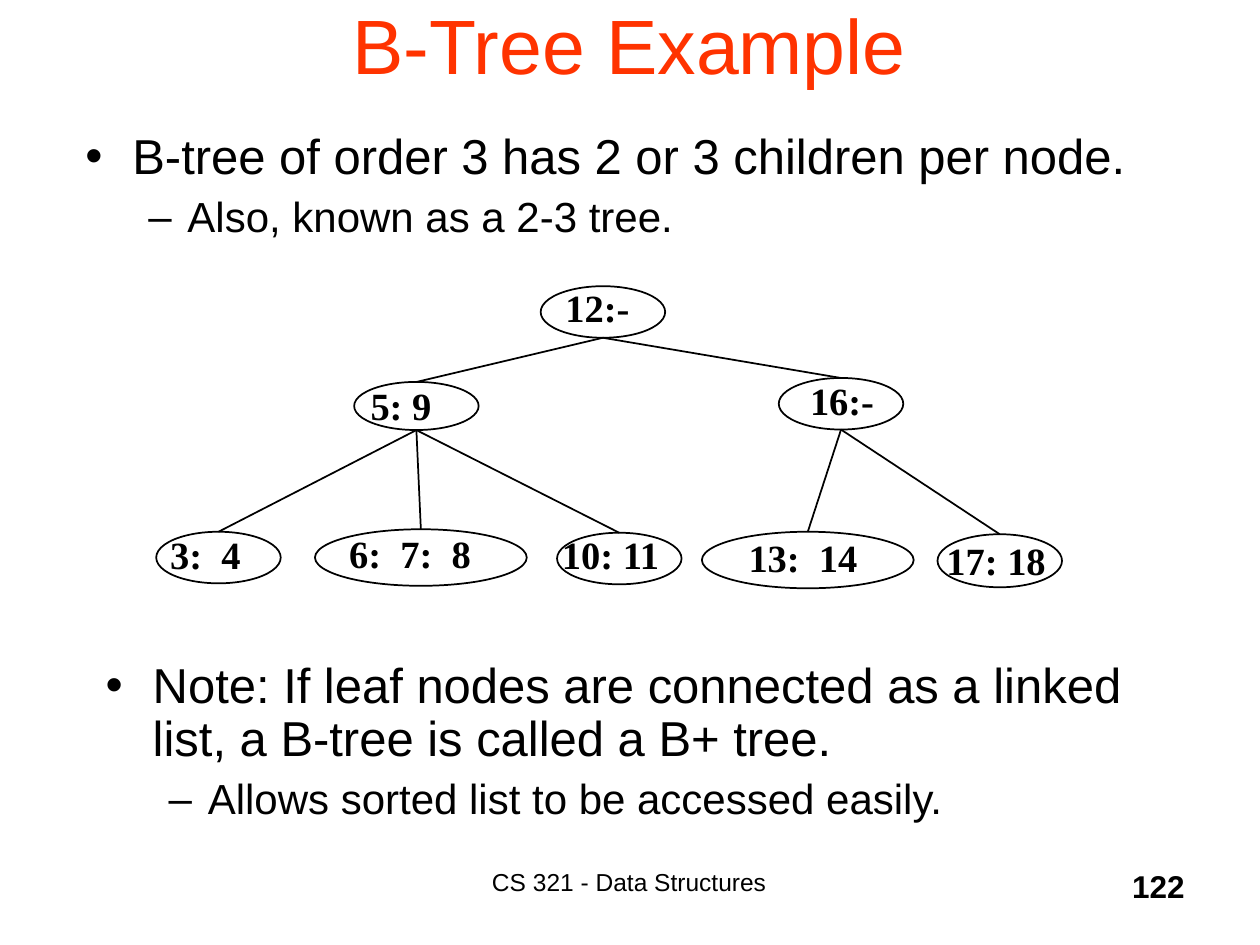
from lxml import etree
from pptx import Presentation
from pptx import util as u
from pptx.dml.color import RGBColor
from pptx.enum import shapes, text
from pptx.oxml.ns import qn

INK = {"title": "FF3300", "text": "000000", "line": "000000"}
SANS, SERIF = "Arial", "Times New Roman"

# key: (label, oval left, top, width, height, label left, top, width) in cm
NODES = {
    "root": ("12:-", 10.9, 5.77, 2.51, 1.04, 11.4, 5.87, 1.42),
    "left": ("5: 9", 7.14, 7.7, 2.51, 0.97, 7.47, 7.85, 1.83),
    "right": ("16:-", 15.7, 7.62, 2.51, 1.04, 16.33, 7.75, 1.52),
    "leaf1": ("3:  4", 3.15, 10.72, 2.51, 1.04, 3.43, 10.85, 1.55),
    "leaf2": ("6:  7:  8", 6.35, 10.67, 4.27, 1.14, 7.04, 10.82, 2.74),
    "leaf3": ("10: 11", 11.23, 10.74, 2.51, 1.04, 11.33, 10.85, 2.31),
    "leaf4": ("13:  14", 14.15, 10.72, 4.27, 1.14, 15.09, 10.9, 2.29),
    "leaf5": ("17: 18", 18.9, 10.77, 2.51, 1.07, 19.08, 10.97, 2.16),
}
TREE = {
    "root": ("left", "right"),
    "left": ("leaf1", "leaf2", "leaf3"),
    "right": ("leaf4", "leaf5"),
}
# level: (bullet, left margin, indent, size, space before)
LEVELS = (("•", 0.95, -0.95, 28, 0), ("–", 2.06, -0.79, 24, 6.5))


def add_box(slide, left, top, width, height, wrap=True):
    box = slide.shapes.add_textbox(*map(u.Cm, (left, top, width, height)))
    box.text_frame.word_wrap = wrap
    return box.text_frame


def add_run(para, words, size, ink="text", face=SANS, bold=False):
    run = para.add_run()
    run.text = words
    font = run.font
    font.size, font.name, font.bold = u.Pt(size), face, bold
    font.color.rgb = RGBColor.from_string(INK[ink])


def add_line(slide, words, area, size, align, **style):
    """Put one line of text in its own box."""
    frame = add_box(slide, *area)
    para = frame.paragraphs[0]
    para.alignment = align
    add_run(para, words, size, **style)
    return frame


def add_list(slide, area, items):
    """Put one bulleted paragraph per item, each a level deeper."""
    frame = add_box(slide, *area)
    for level, words in enumerate(items):
        mark, margin, indent, size, space = LEVELS[level]
        para = frame.add_paragraph() if level else frame.paragraphs[0]
        para.level = level
        para.line_spacing = 0.9
        para.space_before = u.Pt(space)
        props = para._p.get_or_add_pPr()
        props.set("marL", str(u.Cm(margin)))
        props.set("indent", str(u.Cm(indent)))
        etree.SubElement(props, qn("a:buFont")).set("typeface", SANS)
        etree.SubElement(props, qn("a:buChar")).set("char", mark)
        add_run(para, words, size)


def set_line(shape):
    shape.line.color.rgb = RGBColor.from_string(INK["line"])
    shape.line.width = u.Pt(1)


def add_oval(slide, area):
    oval = slide.shapes.add_shape(
        shapes.MSO_SHAPE.OVAL, *map(u.Cm, area))
    oval.shadow.inherit = False
    oval.fill.background()
    set_line(oval)
    return oval


def add_edge(slide, upper, lower):
    """Join the foot of one oval to the top of another."""
    edge = slide.shapes.add_connector(
        shapes.MSO_CONNECTOR.STRAIGHT,
        upper.left + upper.width // 2, upper.top + upper.height,
        lower.left + lower.width // 2, lower.top)
    set_line(edge)
    etree.SubElement(edge._element.spPr, qn("a:effectLst"))


def add_label(slide, words, left, top, width):
    frame = add_box(slide, left, top, width, 0.79, wrap=False)
    frame.margin_left = frame.margin_right = 0
    frame.margin_top = frame.margin_bottom = 0
    para = frame.paragraphs[0]
    para.line_spacing = 0.85
    add_run(para, words, 22, face=SERIF, bold=True)


def add_tree(slide):
    ovals = {key: add_oval(slide, node[1:5]) for key, node in NODES.items()}
    for key, kids in TREE.items():
        for kid in kids:
            add_edge(slide, ovals[key], ovals[kid])
    for node in NODES.values():
        add_label(slide, node[0], *node[5:])


def main():
    deck = Presentation()
    deck.slide_width, deck.slide_height = u.Cm(25.4), u.Cm(19.05)
    slide = deck.slides.add_slide(deck.slide_layouts[6])
    mid, right = text.PP_ALIGN.CENTER, text.PP_ALIGN.RIGHT

    title = add_line(slide, "B-Tree Example", (1.3, -0.23, 22.78, 2.24),
                     44, mid, ink="title")
    title.vertical_anchor = text.MSO_ANCHOR.MIDDLE
    add_list(slide, (1.47, 2.54, 21.59, 2.64), (
        "B-tree of order 3 has 2 or 3 children per node.",
        "Also, known as a 2-3 tree."))
    add_tree(slide)
    add_list(slide, (1.88, 13.21, 21.59, 3.94), (
        "Note: If leaf nodes are connected as a linked list, "
        "a B-tree is called a B+ tree.",
        "Allows sorted list to be accessed easily."))
    add_line(slide, "CS 321 - Data Structures", (7.82, 17.35, 9.73, 1.27),
             14, mid)
    add_line(slide, "122", (18.85, 17.35, 5.28, 1.27), 18, right, bold=True)
    deck.save("out.pptx")


if __name__ == "__main__":
    main()
